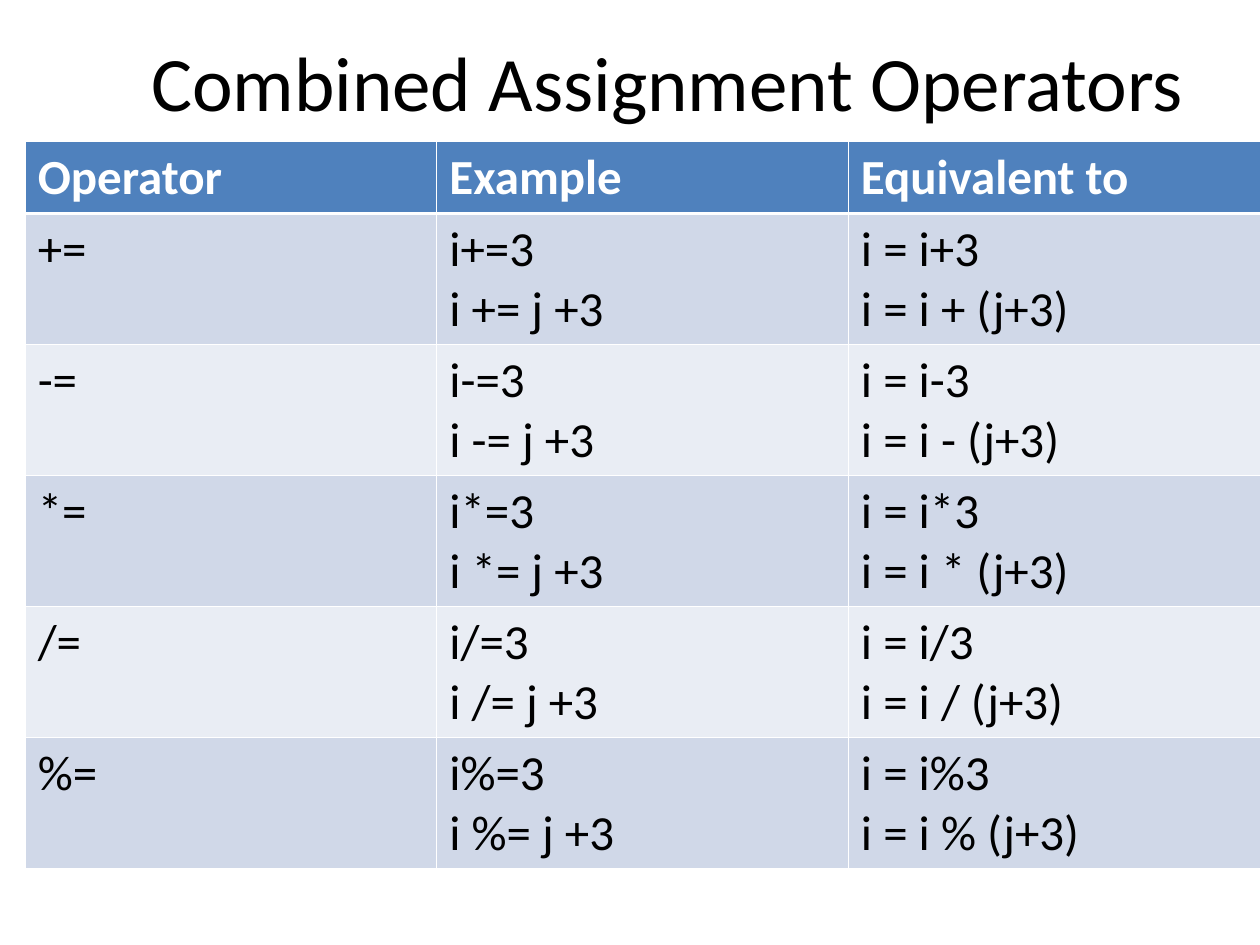
from dataclasses import dataclass
from typing import Any

from lxml.etree import SubElement
from pptx import Presentation
from pptx.dml.color import RGBColor
from pptx.enum.text import MSO_ANCHOR, PP_ALIGN
from pptx.oxml.ns import qn
from pptx.util import Inches, Pt

SLIDE_WIDTH, SLIDE_HEIGHT = Inches(10), Inches(7.5)
WHITE, BLACK, HEADER_BLUE = "FFFFFF", "000000", "4F81BD"
BANDS = ("D0D8E8", "E9EDF4")
HEADINGS = ("Operator", "Example", "Equivalent to")
OPERATORS = "+-*/%"
THIN, THICK = 0.45, 1.47
MARGINS = {
    "margin_left": Inches(0.1),
    "margin_right": Inches(0.1),
    "margin_top": Inches(0.05),
    "margin_bottom": Inches(0.05),
}
TITLE_FRAME = {**MARGINS, "word_wrap": True, "vertical_anchor": MSO_ANCHOR.MIDDLE}


@dataclass(frozen=True)
class Area:
    """A rectangle given as shares of the slide."""

    left: float
    top: float
    width: float
    height: float

    def lengths(self) -> tuple[int, int, int, int]:
        """Return left, top, width and height in slide units."""
        return (
            round(self.left * SLIDE_WIDTH),
            round(self.top * SLIDE_HEIGHT),
            round(self.width * SLIDE_WIDTH),
            round(self.height * SLIDE_HEIGHT),
        )


@dataclass(frozen=True)
class TextStyle:
    """Size, colour, weight and alignment of a text."""

    size: float
    color: str
    bold: bool = False
    align: PP_ALIGN = PP_ALIGN.LEFT


@dataclass(frozen=True)
class TableRow:
    """The look and the cell texts of one table row."""

    texts: tuple[str, ...]
    height: float
    fill: str
    style: TextStyle
    top_border: float = THIN
    bottom_border: float = THIN


TITLE_AREA = Area(0.08, 0, 0.9, 0.17)
TABLE_AREA = Area(0.02, 0.15, 0.98, 0.77)
TITLE_STYLE = TextStyle(44, BLACK, align=PP_ALIGN.CENTER)
HEADER_STYLE = TextStyle(28, WHITE, bold=True)
BODY_STYLE = TextStyle(28, BLACK)


def rgb(color: str) -> RGBColor:
    """Turn a hex string into a colour."""
    return RGBColor.from_string(color)


def set_attributes(target: Any, values: dict[str, Any]) -> None:
    """Set every named attribute of the target."""
    for name, value in values.items():
        setattr(target, name, value)


def write_text(frame: Any, text: str, style: TextStyle) -> None:
    """Write one styled paragraph for each line of the text."""
    frame.text = text
    for paragraph in frame.paragraphs:
        paragraph.alignment = style.align
        for run in paragraph.runs:
            font = {"name": "Calibri", "size": Pt(style.size), "bold": style.bold}
            set_attributes(run.font, font)
            run.font.color.rgb = rgb(style.color)


def add_borders(cell: Any, top: float, bottom: float) -> None:
    """Draw white lines on the four sides of a cell."""
    properties = cell._tc.get_or_add_tcPr()
    for side, width in {"L": THIN, "R": THIN, "T": top, "B": bottom}.items():
        line = SubElement(properties, qn(f"a:ln{side}"), w=str(Pt(width)))
        fill = SubElement(line, qn("a:solidFill"))
        SubElement(fill, qn("a:srgbClr"), val=WHITE)


def operator_rows() -> list[TableRow]:
    """Derive the header and one row for each operator."""
    rows = [TableRow(HEADINGS, 0.57, HEADER_BLUE, HEADER_STYLE, bottom_border=THICK)]
    for index, sign in enumerate(OPERATORS):
        texts = (
            f"{sign}=",
            f"i{sign}=3\ni {sign}= j +3",
            f"i = i{sign}3\ni = i {sign} (j+3)",
        )
        top = THIN if index else THICK
        rows.append(TableRow(texts, 1.04, BANDS[index % 2], BODY_STYLE, top))
    return rows


def add_title(slide: Any, text: str) -> None:
    """Add the centred slide title."""
    frame = slide.shapes.add_textbox(*TITLE_AREA.lengths()).text_frame
    set_attributes(frame, TITLE_FRAME)
    write_text(frame, text, TITLE_STYLE)


def add_operator_table(slide: Any, rows: list[TableRow]) -> None:
    """Add the table of operators with equal columns."""
    area = TABLE_AREA.lengths()
    table = slide.shapes.add_table(len(rows), len(HEADINGS), *area).table
    for column in table.columns:
        column.width = area[2] // len(HEADINGS)
    for row, content in zip(table.rows, rows):
        row.height = Inches(content.height)
        for cell, text in zip(row.cells, content.texts):
            add_borders(cell, content.top_border, content.bottom_border)
            cell.fill.solid()
            cell.fill.fore_color.rgb = rgb(content.fill)
            set_attributes(cell, MARGINS)
            write_text(cell.text_frame, text, content.style)


def main() -> None:
    """Build and save the slide."""
    deck = Presentation()
    set_attributes(deck, {"slide_width": SLIDE_WIDTH, "slide_height": SLIDE_HEIGHT})
    slide = deck.slides.add_slide(deck.slide_layouts[6])
    add_title(slide, "Combined Assignment Operators")
    add_operator_table(slide, operator_rows())
    deck.save("out.pptx")


if __name__ == "__main__":
    main()
